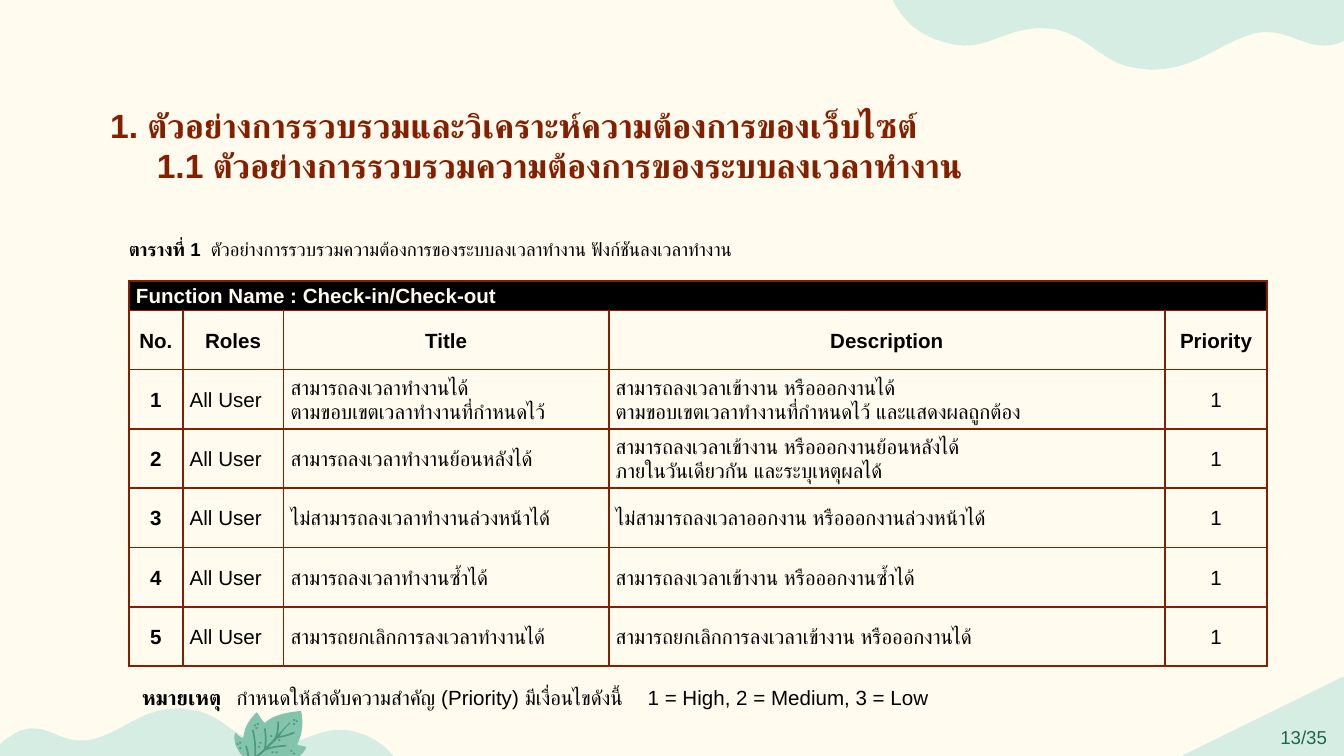
from lxml.etree import SubElement
from pptx import Presentation
from pptx.dml.color import RGBColor
from pptx.enum.shapes import MSO_SHAPE
from pptx.enum.text import MSO_ANCHOR, MSO_AUTO_SIZE, PP_ALIGN
from pptx.oxml import parse_xml
from pptx.oxml.ns import nsdecls, qn
from pptx.util import Pt

CREAM, MINT, LEAF, VEIN = "FFFBEE", "D6EDE4", "83C4AD", "4F997C"
BROWN, BLACK, GREEN = "841F00", "000000", "1F684C"

# Outlines in hundredths of an inch: a start, then lines (2 numbers) or curves (6).
GRID = 0.72
TOP_WAVE = [
    (857, 52), (890, 52, 907, 32, 933, 25), (937, 24, 940, 24, 943, 24),
    (959, 24, 970, 34, 985, 34), (990, 34, 996, 33, 1003, 29), (1020, 20, 1021, 8, 1021, -4),
    (663, -3), (668, 9, 676, 21, 695, 29), (704, 32, 711, 34, 718, 34),
    (737, 34, 749, 22, 773, 21), (774, 21, 775, 21, 776, 21), (808, 21, 817, 48, 847, 51),
    (851, 51, 854, 52, 857, 52)]
BOTTOM_WAVE = [
    (-7, 575), (299, 574), (295, 564, 288, 554, 272, 547), (264, 544, 258, 543, 253, 543),
    (236, 543, 226, 553, 205, 554), (205, 554, 204, 554, 203, 554),
    (175, 554, 168, 531, 142, 528), (139, 528, 136, 527, 133, 527),
    (105, 527, 91, 545, 69, 550), (66, 551, 63, 551, 60, 551), (46, 551, 37, 542, 25, 542),
    (20, 542, 15, 543, 9, 547), (-5, 555, -7, 565, -7, 575)]
LEAF_BLADE = [
    (224, 529), (214, 530, 203, 532, 197, 538), (194, 535, 193, 532, 191, 530),
    (185, 536, 182, 541, 181, 549), (179, 549, 178, 548, 175, 545),
    (173, 551, 176, 561, 187, 568), (190, 572, 198, 575, 204, 575),
    (207, 575, 210, 575, 212, 574), (210, 572, 207, 570, 205, 569),
    (215, 567, 225, 564, 228, 556), (226, 555, 223, 555, 221, 554),
    (225, 547, 226, 537, 224, 529)]
MAIN_VEIN = [
    (216, 537), (205, 548, 195, 561, 181, 569), (177, 571, 172, 573, 168, 574),
    (168, 575), (185, 572, 197, 559, 208, 548), (210, 544, 213, 541, 216, 538)]
SIDE_VEINS = [
    [(207, 537), (207, 541, 207, 545, 205, 549), (210, 548, 215, 547, 219, 545)],
    [(197, 542), (198, 547, 198, 553, 197, 558), (202, 556, 208, 555, 213, 555)],
    [(188, 543), (190, 550, 190, 557, 190, 564), (197, 563, 205, 563, 213, 564)],
    [(183, 555), (185, 560, 185, 564, 185, 568), (190, 569, 195, 570, 200, 570)]]
SPECKS = [
    (216, 558), (218, 560), (189, 539), (191, 538), (190, 541), (218, 535), (218, 538),
    (220, 536), (193, 552), (192, 555), (202, 559), (205, 559), (207, 550), (201, 547),
    (176, 553), (178, 552), (178, 556)]

COLUMN_WIDTHS = [28.8, 54, 174.2, 298, 54.8]
HEADINGS = ["No.", "Roles", "Title", "Description", "Priority"]
REQUIREMENTS = [
    ("สามารถลงเวลาทำงานได้\nตามขอบเขตเวลาทำงานที่กำหนดไว้",
     "สามารถลงเวลาเข้างาน หรือออกงานได้\nตามขอบเขตเวลาทำงานที่กำหนดไว้ และแสดงผลถูกต้อง"),
    ("สามารถลงเวลาทำงานย้อนหลังได้",
     "สามารถลงเวลาเข้างาน หรือออกงานย้อนหลังได้\nภายในวันเดียวกัน และระบุเหตุผลได้"),
    ("ไม่สามารถลงเวลาทำงานล่วงหน้าได้", "ไม่สามารถลงเวลาออกงาน หรือออกงานล่วงหน้าได้"),
    ("สามารถลงเวลาทำงานซ้ำได้", "สามารถลงเวลาเข้างาน หรือออกงานซ้ำได้"),
    ("สามารถยกเลิกการลงเวลาทำงานได้", "สามารถยกเลิกการลงเวลาเข้างาน หรือออกงานได้")]


def rgb(hex_code):
    return RGBColor.from_string(hex_code)


def trace(outline, steps=10):
    """Turn an outline of lines and cubic curves into points in EMU."""
    points = [outline[0]]
    for segment in outline[1:]:
        if len(segment) == 2:
            points.append(segment)
            continue
        x0, y0 = points[-1]
        x1, y1, x2, y2, x3, y3 = segment
        for step in range(1, steps + 1):
            t = step / steps
            a, b, c, d = (1 - t) ** 3, 3 * t * (1 - t) ** 2, 3 * t * t * (1 - t), t ** 3
            points.append((a * x0 + b * x1 + c * x2 + d * x3,
                           a * y0 + b * y1 + c * y2 + d * y3))
    return [(Pt(x * GRID), Pt(y * GRID)) for x, y in points]


class RequirementsSlide:
    font = "Arial"

    def __init__(self, deck):
        self.slide = deck.slides.add_slide(deck.slide_layouts[5])
        self.shapes = self.slide.shapes
        self.slide.background.fill.solid()
        self.slide.background.fill.fore_color.rgb = rgb(CREAM)

    def style(self, run, size, color, bold=False):
        run.font.size, run.font.bold = Pt(size), bold
        run.font.name = self.font
        run.font.color.rgb = rgb(color)
        SubElement(run.font._element, qn("a:cs")).set("typeface", self.font)

    def paint(self, shape, fill=None, line=None, width=1):
        shape.shadow.inherit = False
        for part, color in ((shape.fill, fill), (shape.line.fill, line)):
            if color:
                part.solid()
                part.fore_color.rgb = rgb(color)
            else:
                part.background()
        if line:
            shape.line.width = Pt(width)

    def outline(self, segments, fill=None, line=None, width=1):
        start, *others = trace(segments)
        builder = self.shapes.build_freeform(*start, scale=1.0)
        builder.add_line_segments(others, close=bool(fill))
        self.paint(builder.convert_to_shape(), fill, line, width)

    def speck(self, x, y):
        dot = self.shapes.add_shape(MSO_SHAPE.OVAL, Pt(x * GRID), Pt(y * GRID), Pt(1.2), Pt(1))
        self.paint(dot, VEIN)

    def title(self, heading, subheading, left, top, width, height):
        title = self.shapes.title
        title.left, title.top, title.width, title.height = map(Pt, (left, top, width, height))
        frame = title.text_frame
        frame.text = f"{heading}\n{subheading}"
        frame.auto_size = MSO_AUTO_SIZE.NONE
        frame.vertical_anchor = MSO_ANCHOR.TOP
        for paragraph in frame.paragraphs:
            paragraph.alignment = PP_ALIGN.LEFT
            self.style(paragraph.runs[0], 18, BROWN, True)
        frame.paragraphs[1]._p.get_or_add_pPr().set("marL", str(Pt(25)))

    def labelled_line(self, label, text, left, top, width, height, size, tabs):
        """One line that opens with a bold label; tabs are stops in points."""
        box = self.shapes.add_textbox(Pt(left), Pt(top), Pt(width), Pt(height))
        box.text_frame.word_wrap = True
        paragraph = box.text_frame.paragraphs[0]
        for words, bold in ((label, True), ("\t" + text, False)):
            run = paragraph.add_run()
            run.text = words
            self.style(run, size, BLACK, bold)
        stops = SubElement(paragraph._p.get_or_add_pPr(), qn("a:tabLst"))
        for stop in tabs:
            SubElement(stops, qn("a:tab"), pos=str(Pt(stop)), algn="l")

    def cell(self, cell, text, bold=False, centred=False, color=BLACK, fill=None):
        cell.text_frame.text = text
        cell.margin_left = cell.margin_right = Pt(3.75)
        cell.margin_top = cell.margin_bottom = 0
        cell.vertical_anchor = MSO_ANCHOR.MIDDLE
        for paragraph in cell.text_frame.paragraphs:
            paragraph.line_spacing = 1.07
            paragraph.alignment = PP_ALIGN.CENTER if centred else PP_ALIGN.LEFT
            for run in paragraph.runs:
                self.style(run, 11, color, bold)
        if fill:
            cell.fill.solid()
            cell.fill.fore_color.rgb = rgb(fill)
        else:
            cell.fill.background()
        for index, side in enumerate("LRTB"):
            cell._tc.get_or_add_tcPr().insert(index, parse_xml(
                f'<a:ln{side} {nsdecls("a")} w="{Pt(1)}"><a:solidFill>'
                f'<a:srgbClr val="{BROWN}"/></a:solidFill></a:ln{side}>'))

    def table(self, banner, headings, requirements, left, top):
        heights = [15.84] + [31.75] * (len(requirements) + 1)
        table = self.shapes.add_table(len(heights), len(headings), Pt(left), Pt(top),
                                      Pt(sum(COLUMN_WIDTHS)), Pt(sum(heights))).table
        table.first_row = table.horz_banding = False
        for column, width in zip(table.columns, COLUMN_WIDTHS):
            column.width = Pt(width)
        for row, height in zip(table.rows, heights):
            row.height = Pt(height)
        table.cell(0, 0).merge(table.cell(0, len(headings) - 1))
        for index, heading in enumerate(headings):
            self.cell(table.cell(0, index), "" if index else banner, True, color=CREAM, fill=BLACK)
            self.cell(table.cell(1, index), heading, True, True)
        for number, (title, description) in enumerate(requirements, 1):
            values = [str(number), "All User", title, description, "1"]
            for index, value in enumerate(values):
                self.cell(table.cell(number + 1, index), value, index == 0, index in (0, 4))

    def page_corner(self, number, left, top, width, height):
        corner = self.shapes.add_shape(MSO_SHAPE.ISOSCELES_TRIANGLE,
                                       Pt(left), Pt(top), Pt(width), Pt(height))
        corner.adjustments[0] = 0.996
        self.paint(corner, MINT, MINT, 2)
        frame = corner.text_frame
        frame.text = number
        frame.vertical_anchor = MSO_ANCHOR.MIDDLE
        frame.paragraphs[0].alignment = PP_ALIGN.CENTER
        self.style(frame.paragraphs[0].runs[0], 10, GREEN)


def main():
    deck = Presentation()
    deck.slide_width, deck.slide_height = Pt(720), Pt(405)
    page = RequirementsSlide(deck)
    for segments, fill in ((TOP_WAVE, MINT), (BOTTOM_WAVE, MINT),
                           (LEAF_BLADE, LEAF), (MAIN_VEIN, VEIN)):
        page.outline(segments, fill)
    for vein in SIDE_VEINS:
        page.outline(vein, line=VEIN, width=0.9)
    for x, y in SPECKS:
        page.speck(x, y)
    page.table("Function Name : Check-in/Check-out", HEADINGS, REQUIREMENTS, 69.1, 150.5)
    page.labelled_line(
        "หมายเหตุ", "กำหนดให้ลำดับความสำคัญ (Priority) มีเงื่อนไขดังนี้\t1 = High, 2 = Medium, 3 = Low",
        69.1, 363.6, 645, 20.9, 11, [50.6, 270.8])
    page.title("1. ตัวอย่างการรวบรวมและวิเคราะห์ความต้องการของเว็บไซต์",
               "1.1 ตัวอย่างการรวบรวมความต้องการของระบบลงเวลาทำงาน", 51.8, 52.6, 622, 51)
    page.labelled_line(
        "ตารางที่ 1", "ตัวอย่างการรวบรวมความต้องการของระบบลงเวลาทำงาน ฟังก์ชันลงเวลาทำงาน",
        61.9, 123.8, 533.5, 19.4, 10, [44])
    page.page_corner("13/35", 634.3, 363.6, 85.7, 41.8)
    deck.save("out.pptx")


if __name__ == "__main__":
    main()
